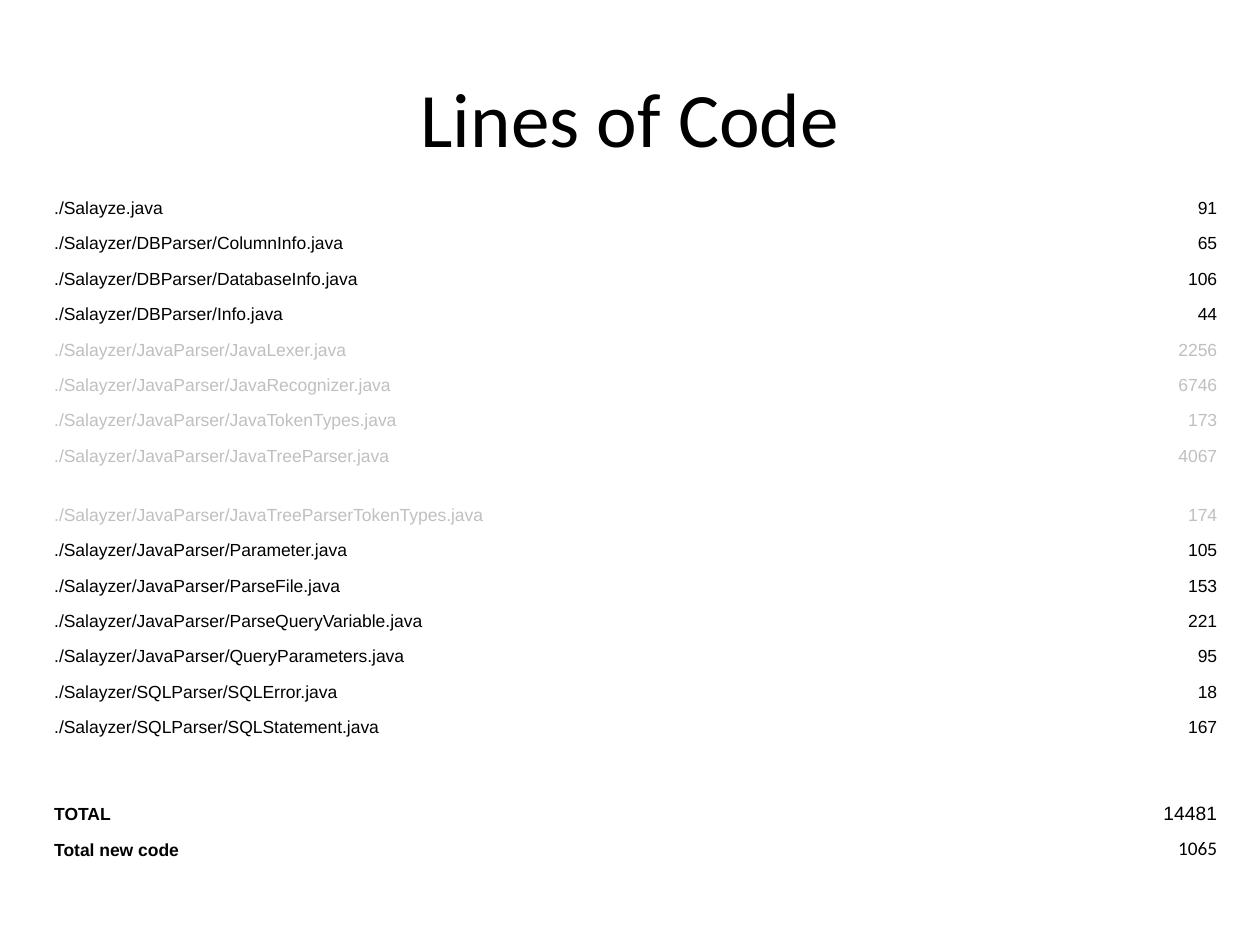
from pptx import Presentation
from pptx.dml.color import RGBColor
from pptx.enum.text import MSO_ANCHOR, PP_ALIGN
from pptx.util import Pt

LEFT, CENTER, RIGHT = PP_ALIGN.LEFT, PP_ALIGN.CENTER, PP_ALIGN.RIGHT
MIDDLE, BOTTOM = MSO_ANCHOR.MIDDLE, MSO_ANCHOR.BOTTOM
TITLE_ONLY = 5
COLORS = {"black": "000000", "silver": "BFBFBF", "gray": "C0C0C0"}


def write_text(text_frame, text, size=10, font="Arial", color="black",
               bold=False, align=LEFT):
    paragraph = text_frame.paragraphs[0]
    paragraph.alignment = align
    run = paragraph.add_run()
    run.text = text
    run.font.size = Pt(size)
    run.font.name = font
    run.font.bold = bold
    run.font.color.rgb = RGBColor.from_string(COLORS[color])


presentation = Presentation()
presentation.slide_width = Pt(720)
presentation.slide_height = Pt(540)
slide = presentation.slides.add_slide(presentation.slide_layouts[TITLE_ONLY])

# Title
title = slide.shapes.title
title.left, title.top, title.width, title.height = Pt(36), Pt(21.6), Pt(648), Pt(90)
title.text_frame.vertical_anchor = MIDDLE
write_text(title.text_frame, "Lines of Code", size=44, font="Calibri", align=CENTER)

# File, line count, colour
FILES = [
    ("./Salayze.java", "91", "black"),
    ("./Salayzer/DBParser/ColumnInfo.java", "65", "black"),
    ("./Salayzer/DBParser/DatabaseInfo.java", "106", "black"),
    ("./Salayzer/DBParser/Info.java", "44", "black"),
    ("./Salayzer/JavaParser/JavaLexer.java", "2256", "silver"),
    ("./Salayzer/JavaParser/JavaRecognizer.java", "6746", "gray"),
    ("./Salayzer/JavaParser/JavaTokenTypes.java", "173", "gray"),
    ("./Salayzer/JavaParser/JavaTreeParser.java", "4067", "gray"),
    ("./Salayzer/JavaParser/JavaTreeParserTokenTypes.java", "174", "gray"),
    ("./Salayzer/JavaParser/Parameter.java", "105", "black"),
    ("./Salayzer/JavaParser/ParseFile.java", "153", "black"),
    ("./Salayzer/JavaParser/ParseQueryVariable.java", "221", "black"),
    ("./Salayzer/JavaParser/QueryParameters.java", "95", "black"),
    ("./Salayzer/SQLParser/SQLError.java", "18", "black"),
    ("./Salayzer/SQLParser/SQLStatement.java", "167", "black"),
]
# Label, line count, font of the count
TOTALS = [("TOTAL", "14481", "Arial"), ("Total new code", "1065", "Calibri")]

# Table: files, one empty row, totals
ROW_HEIGHT, TALL_ROW_HEIGHT, TALL_ROW = 20.25, 33.75, 8
row_count = len(FILES) + 1 + len(TOTALS)
table_height = (row_count - 1) * ROW_HEIGHT + TALL_ROW_HEIGHT
table = slide.shapes.add_table(row_count, 2, Pt(30.25), Pt(108),
                               Pt(666), Pt(table_height)).table
table.first_row = False
table.horz_banding = False
for column, width in zip(table.columns, (583.2, 82.8)):
    column.width = Pt(width)
for index, row in enumerate(table.rows):
    row.height = Pt(TALL_ROW_HEIGHT if index == TALL_ROW else ROW_HEIGHT)
    for cell in row.cells:
        cell.fill.background()
        cell.vertical_anchor = BOTTOM
        cell.margin_left = cell.margin_right = Pt(0.75)

# File rows
for index, (name, count, color) in enumerate(FILES):
    write_text(table.cell(index, 0).text_frame, name, color=color)
    write_text(table.cell(index, 1).text_frame, count, color=color, align=RIGHT)

# Total rows
for index, (label, count, font) in enumerate(TOTALS, start=len(FILES) + 1):
    write_text(table.cell(index, 0).text_frame, label, bold=True)
    write_text(table.cell(index, 1).text_frame, count, size=11, font=font, align=RIGHT)

presentation.save("out.pptx")
